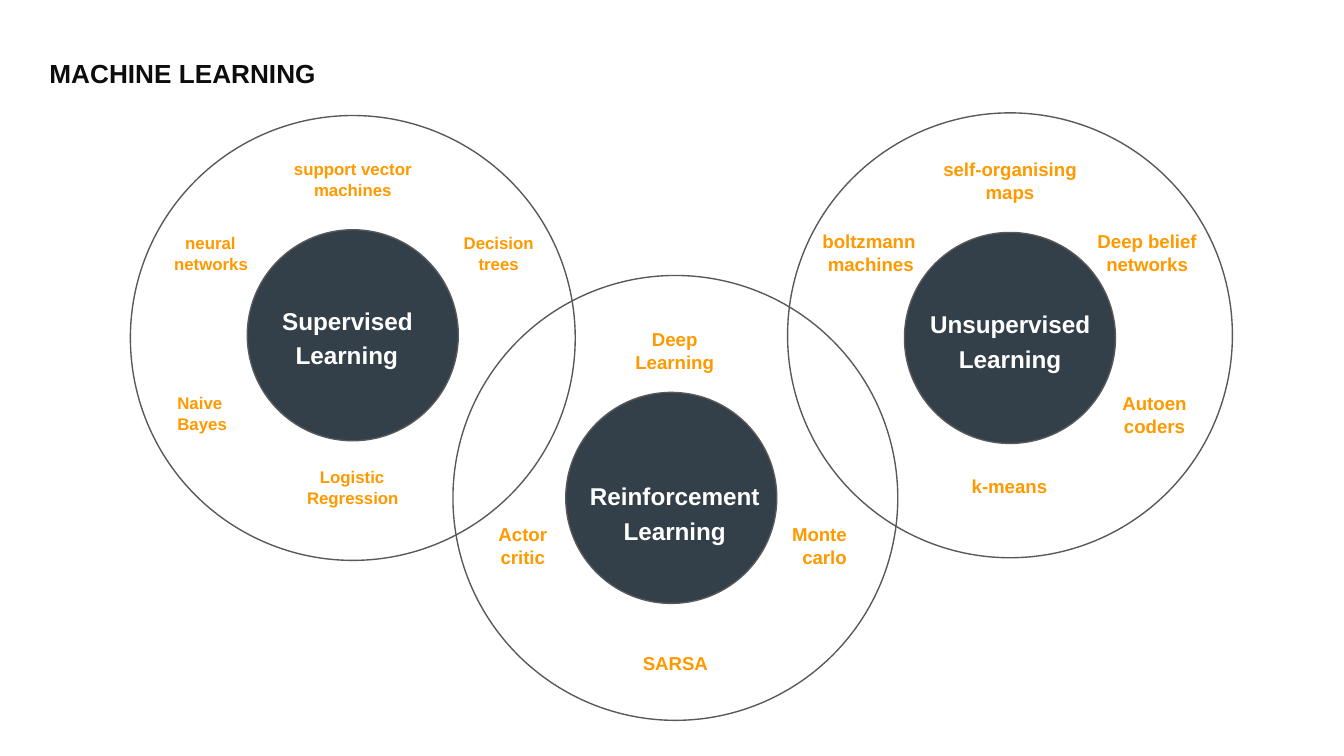
from pptx import Presentation
from pptx.dml.color import RGBColor
from pptx.enum.shapes import MSO_SHAPE as Shape
from pptx.enum.text import MSO_ANCHOR as Anchor, PP_ALIGN as Align
from pptx.util import Inches, Pt

INK = RGBColor(0x0D, 0x0D, 0x0D)
GREY = RGBColor(0x59, 0x59, 0x59)
SLATE = RGBColor(0x33, 0x40, 0x49)
AMBER = RGBColor(0xFF, 0x99, 0x00)
WHITE = RGBColor(0xFF, 0xFF, 0xFF)

RING, CORE = 3.31, 1.57
MID, LEFT, RIGHT = Align.CENTER, Align.LEFT, Align.RIGHT

# Each field: ring corner, core corner, name, name box, alignment, hanging
# indent, label size, and labels as (text, left, top, width, height)
FIELDS = [
    dict(ring=(0.97, 0.86), core=(1.84, 1.71), name="Supervised Learning",
         box=(2.09, 2.22, 1.23, 0.5), align=LEFT, hang=(0.11, -0.1), size=9,
         labels=[("neural networks", 1.17, 1.72, 0.79, 0.32),
                 ("support vector machines", 1.96, 1.17, 1.32, 0.32),
                 ("Logistic Regression", 2.15, 3.46, 0.94, 0.32),
                 ("Naive Bayes", 1.27, 2.91, 0.44, 0.32),
                 ("Decision\ntrees", 3.41, 1.72, 0.59, 0.32)]),
    dict(ring=(3.37, 2.05), core=(4.21, 2.92), name="Reinforcement Learning",
         box=(4.31, 3.52, 1.42, 0.54), align=MID, hang=(0, -0.05), size=10,
         labels=[("Monte\ncarlo", 5.73, 3.88, 0.79, 0.35),
                 ("SARSA", 4.69, 4.84, 0.66, 0.18),
                 ("Deep\nLearning", 4.55, 2.43, 0.94, 0.35),
                 ("Actor\ncritic", 3.63, 3.88, 0.51, 0.35)]),
    dict(ring=(5.86, 0.84), core=(6.73, 1.73), name="Unsupervised Learning",
         box=(6.85, 2.24, 1.32, 0.54), align=MID, hang=(0.01, 0), size=10,
         labels=[("k-means", 7.22, 3.52, 0.59, 0.18),
                 ("Autoencoders", 8.33, 2.9, 0.51, 0.35),
                 ("self-organising maps", 6.93, 1.16, 1.17, 0.35),
                 ("Deep belief networks", 8.1, 1.7, 0.87, 0.35),
                 ("boltzmann machines", 6.11, 1.7, 0.94, 0.35)]),
]

# Labels that are not centred: alignment, left margin, right margin
OFFSET = {
    "Naive Bayes": (LEFT, 0.04, 0),
    "Monte\ncarlo": (RIGHT, 0, 0.22),
    "k-means": (LEFT, 0, 0),
    "boltzmann machines": (LEFT, 0, 0),
}

# Left and first-line indents of the labels that differ from INDENT
INDENT = (0.01, 0)
HANG = {
    "boltzmann machines": (0.05, -0.04),
    "neural networks": (0.01, -0.04),
    "Logistic Regression": (0.01, -0.04),
    "self-organising maps": (0, -0.05),
    "Deep belief networks": (0, -0.05),
    "Deep\nLearning": (0, 0),
}

deck = Presentation()
deck.slide_width = Inches(10)
deck.slide_height = deck.slide_width * 9 // 16
slide = deck.slides.add_slide(deck.slide_layouts[6])


def add_disc(spot, size, fill=None):
    disc = slide.shapes.add_shape(
        Shape.OVAL, *map(Inches, (*spot, size, size)))
    disc.shadow.inherit = False
    if fill is None:
        disc.fill.background()
    else:
        disc.fill.solid()
        disc.fill.fore_color.rgb = fill
    disc.line.color.rgb = GREY
    disc.line.width = Pt(0.75)


def add_text(text, box, size, color, align=MID, pads=(0, 0.01, 0, 0),
             space=1.02, hang=(0, 0), anchor=Anchor.TOP):
    frame = slide.shapes.add_textbox(*map(Inches, box)).text_frame
    frame.word_wrap = True
    frame.vertical_anchor = anchor
    (frame.margin_left, frame.margin_top,
     frame.margin_right, frame.margin_bottom) = map(Inches, pads)
    frame.text = text
    for para in frame.paragraphs:
        para.alignment = align
        para.line_spacing = space
        props = para._p.get_or_add_pPr()
        props.set("marL", str(Inches(hang[0])))
        props.set("indent", str(Inches(hang[1])))
        for run in para.runs:
            font = run.font
            font.name, font.size, font.bold = "Arial", Pt(size), True
            font.color.rgb = color


# Outer rings and title
for field in FIELDS:
    add_disc(field["ring"], RING)
add_text("MACHINE LEARNING", (0.27, 0.29, 4.44, 0.35), 14, INK,
         LEFT, (0.1,) * 4, 1.15)

# Methods, then the dark core with the name of the field
for field in FIELDS:
    for text, *box in field["labels"]:
        align, left, right = OFFSET.get(text, (MID, 0, 0))
        add_text(text, box, field["size"], AMBER, align,
                 (left, 0.01, right, 0), hang=HANG.get(text, INDENT))
    add_disc(field["core"], CORE, SLATE)
    anchor = Anchor.TOP if field["align"] == LEFT else Anchor.MIDDLE
    add_text(field["name"], field["box"], 13, WHITE, field["align"],
             (0, 0.02, 0, 0), 1.18, field["hang"], anchor)

deck.save("out.pptx")
